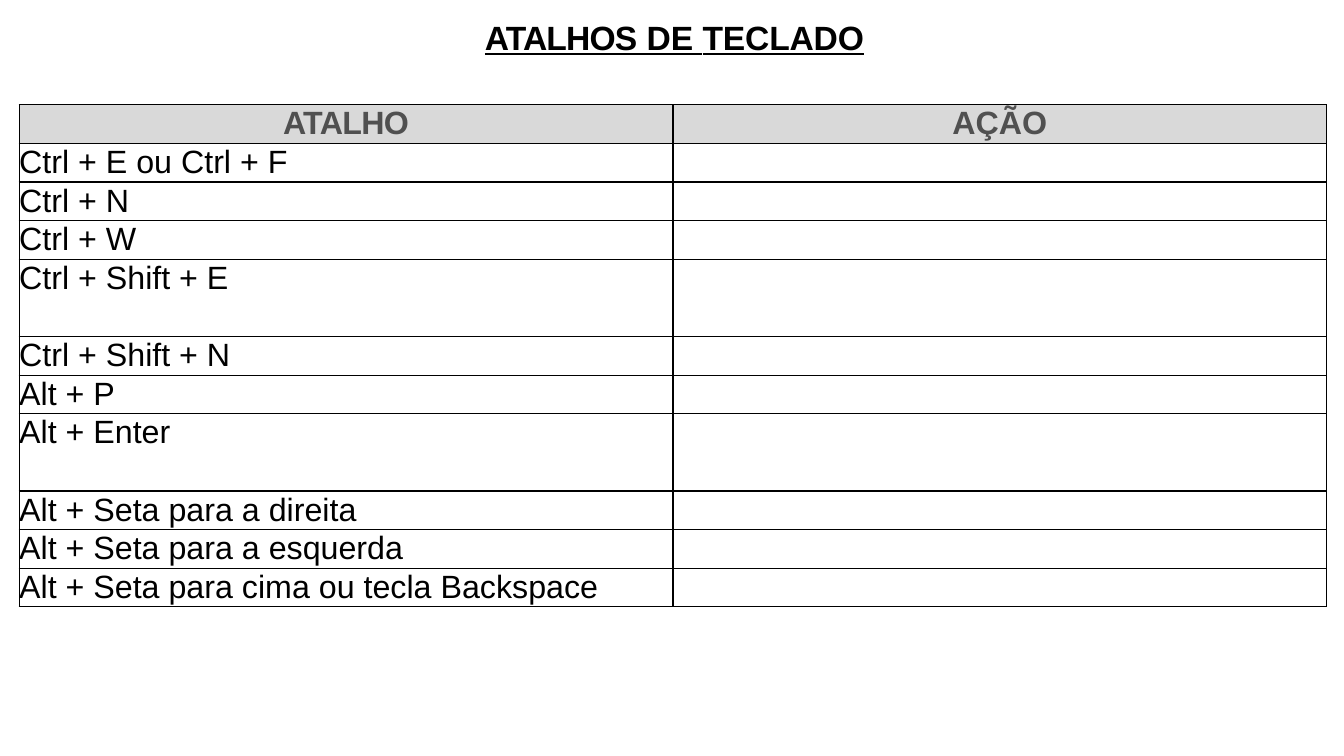
import pptx
import pptx.util
import pptx.dml.color
import pptx.enum.text
import pptx.oxml.ns
import lxml.etree

Inches, Pt = pptx.util.Inches, pptx.util.Pt

# Content: title words with letter spacing in points
TITLE = [("ATALHOS", -0.6), (" ", -0.7), ("DE", -0.1), (" ", -0.6), ("TECLADO", -0.1)]
HEADERS = [("ATALHO", -0.5), ("AÇÃO", 0)]
# Shortcut and row height in text lines
SHORTCUTS = [
    ("Ctrl + E ou Ctrl + F", 1),
    ("Ctrl + N", 1),
    ("Ctrl + W", 1),
    ("Ctrl + Shift + E", 2),
    ("Ctrl + Shift + N", 1),
    ("Alt + P", 1),
    ("Alt + Enter", 2),
    ("Alt + Seta para a direita", 1),
    ("Alt + Seta para a esquerda", 1),
    ("Alt + Seta para cima ou tecla Backspace", 1),
]
COLORS = {"text": "000000", "header": "505050", "header_fill": "D9D9D9", "border": "000000"}
FONT = "Arial"
TABLE_LEFT, TABLE_TOP, TABLE_WIDTH, TABLE_HEIGHT = 0.19, 1.04, 12.97, 4.98


def rgb(name):
    return pptx.dml.color.RGBColor.from_string(COLORS[name])


def style(paragraph, size, color, bold):
    font = paragraph.font
    font.name, font.size, font.bold = FONT, Pt(size), bold
    font.color.rgb = rgb(color)


def add_spaced_run(paragraph, text, spacing):
    run = paragraph.add_run()
    run.text = text
    run.font._element.set("spc", str(round(spacing * 100)))


def add_borders(cell):
    properties = cell._tc.get_or_add_tcPr()
    qn = pptx.oxml.ns.qn
    for side in ("lnL", "lnR", "lnT", "lnB"):
        line = lxml.etree.SubElement(properties, qn("a:" + side), w=str(Pt(1)))
        fill = lxml.etree.SubElement(line, qn("a:solidFill"))
        lxml.etree.SubElement(fill, qn("a:srgbClr"), val=COLORS["border"])


def main():
    presentation = pptx.Presentation()
    presentation.slide_width, presentation.slide_height = Inches(13.33), Inches(7.5)
    slide = presentation.slides.add_slide(presentation.slide_layouts[6])

    # Shortcut table
    table = slide.shapes.add_table(
        len(SHORTCUTS) + 1, len(HEADERS), Inches(TABLE_LEFT), Inches(TABLE_TOP),
        Inches(TABLE_WIDTH), Inches(TABLE_HEIGHT)).table
    table.horz_banding = False
    row_lines = [1] + [lines for _, lines in SHORTCUTS]
    line_height = TABLE_HEIGHT / sum(row_lines)
    for row, lines in zip(table.rows, row_lines):
        row.height = Inches(lines * line_height)

    for cell in table.iter_cells():
        cell.margin_left = cell.margin_right = cell.margin_top = cell.margin_bottom = 0
        add_borders(cell)
        cell.fill.background()
        paragraph = cell.text_frame.paragraphs[0]
        paragraph.line_spacing = Pt(26.4)

    # Header row
    for column, (label, spacing) in enumerate(HEADERS):
        cell = table.cell(0, column)
        cell.fill.solid()
        cell.fill.fore_color.rgb = rgb("header_fill")
        paragraph = cell.text_frame.paragraphs[0]
        paragraph.alignment = pptx.enum.text.PP_ALIGN.CENTER
        add_spaced_run(paragraph, label, spacing)
        style(paragraph, 23, "header", True)

    # Shortcut rows; the action column stays empty
    for row, (shortcut, _) in enumerate(SHORTCUTS, start=1):
        paragraph = table.cell(row, 0).text_frame.paragraphs[0]
        paragraph.add_run().text = shortcut
        style(paragraph, 23, "text", False)

    # Title
    title = slide.shapes.add_textbox(Inches(4.8), Inches(0.15), Inches(3.84), Inches(0.43))
    frame = title.text_frame
    frame.word_wrap = True
    frame.margin_left = frame.margin_right = frame.margin_bottom = 0
    frame.margin_top = Inches(0.02)
    heading = frame.paragraphs[0]
    for text, spacing in TITLE:
        add_spaced_run(heading, text, spacing)
    style(heading, 24, "text", True)
    heading.font.underline = True
    heading._p.get_or_add_pPr().set("marL", str(Inches(0.01)))

    presentation.save("out.pptx")


if __name__ == "__main__":
    main()
